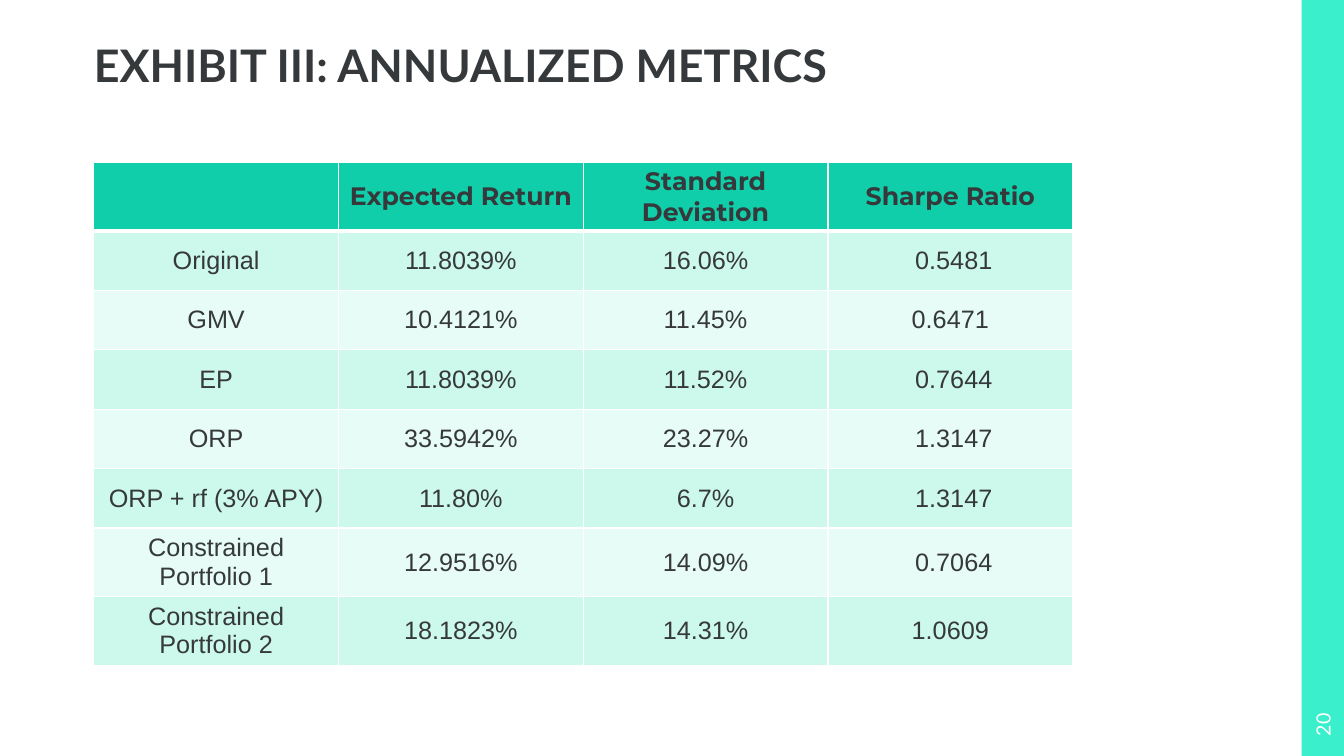
from lxml.etree import SubElement
from pptx import Presentation
from pptx.dml.color import RGBColor
from pptx.enum.shapes import MSO_SHAPE as Shape
from pptx.enum.text import MSO_ANCHOR as Anchor, MSO_AUTO_SIZE as AutoSize, PP_ALIGN as Align
from pptx.oxml.ns import qn
from pptx.util import Inches, Pt

DARK = RGBColor(0x36, 0x39, 0x3B)
WHITE = RGBColor(0xFF, 0xFF, 0xFF)
TURQUOISE = RGBColor(0x3A, 0xEF, 0xCC)
HEADER_GREEN = RGBColor(0x10, 0xCE, 0xA9)
BAND_GREENS = (RGBColor(0xE7, 0xFC, 0xF6), RGBColor(0xCD, 0xF9, 0xEC))

METRICS = [
    ("", "Expected Return", "Standard Deviation", "Sharpe Ratio"),
    ("Original", "11.8039%", "16.06%", " 0.5481"),
    ("GMV", "10.4121%", "11.45%", " 0.6471 "),
    ("EP", "11.8039%", "11.52%", " 0.7644"),
    ("ORP", "33.5942%", "23.27%", " 1.3147"),
    ("ORP + rf (3% APY)", "11.80%", "6.7%", " 1.3147"),
    ("Constrained Portfolio 1", "12.9516%", "14.09%", " 0.7064"),
    ("Constrained Portfolio 2", "18.1823%", "14.31%", " 1.0609 "),
]
ROW_HEIGHTS = [0.67] + [0.59] * 5 + [0.67] * 2


def add_text(paragraph, text, size, font, color, bold=False, align=Align.CENTER):
    paragraph.alignment = align
    run = paragraph.add_run()
    run.text = text
    run.font.size = Pt(size)
    run.font.name = font
    run.font.bold = bold
    run.font.color.rgb = color


def set_margins(frame, horizontal, vertical):
    frame.margin_left = frame.margin_right = Inches(horizontal)
    frame.margin_top = frame.margin_bottom = Inches(vertical)


def set_borders(cell, bottom_width):
    properties = cell._tc.get_or_add_tcPr()
    for side, width in (("L", 1), ("R", 1), ("T", 1), ("B", bottom_width)):
        border = SubElement(properties, qn(f"a:ln{side}"), w=str(Pt(width)))
        fill = SubElement(border, qn("a:solidFill"))
        SubElement(fill, qn("a:srgbClr"), val=str(WHITE))


def add_sidebar(slide, left, top, width, height, number):
    # Colour strip
    strip = slide.shapes.add_shape(
        Shape.RECTANGLE, Inches(left), Inches(top), Inches(width), Inches(height))
    strip.shadow.inherit = False
    strip.fill.solid()
    strip.fill.fore_color.rgb = TURQUOISE
    strip.line.fill.background()

    # Page number, turned to read upwards and centred on the strip
    length = 0.62
    page_number = slide.shapes.add_textbox(
        Inches(left + (width - length) / 2), Inches(top + height - 0.52),
        Inches(length), Inches(width))
    page_number.rotation = 270
    frame = page_number.text_frame
    frame.word_wrap = True
    frame.vertical_anchor = Anchor.MIDDLE
    add_text(frame.paragraphs[0], number, 14, "Lato", WHITE)


def add_title(slide, left, top, width, height, text):
    title = slide.shapes.title
    title.left, title.top = Inches(left), Inches(top)
    title.width, title.height = Inches(width), Inches(height)
    frame = title.text_frame
    frame.auto_size = AutoSize.NONE
    frame.vertical_anchor = Anchor.BOTTOM
    set_margins(frame, 0, 0)
    add_text(frame.paragraphs[0], text, 32, "Lato", DARK, bold=True, align=Align.LEFT)


def add_metrics_table(slide, left, top, width, row_heights, rows):
    table = slide.shapes.add_table(
        len(rows), len(rows[0]), Inches(left), Inches(top),
        Inches(width), Inches(sum(row_heights))).table
    for row, height in zip(table.rows, row_heights):
        row.height = Inches(height)

    for row_index, values in enumerate(rows):
        is_header = row_index == 0
        for column, value in enumerate(values):
            cell = table.cell(row_index, column)
            set_borders(cell, 3 if is_header else 1)
            cell.fill.solid()
            cell.fill.fore_color.rgb = HEADER_GREEN if is_header else BAND_GREENS[row_index % 2]
            cell.vertical_anchor = Anchor.MIDDLE
            set_margins(cell, 0.1, 0.04)
            if value:
                add_text(cell.text_frame.paragraphs[0], value, 18,
                         "Montserrat" if is_header else "Arial", DARK, bold=is_header)


def main():
    prs = Presentation()
    prs.slide_width, prs.slide_height = Inches(13.33), Inches(7.5)
    slide = prs.slides.add_slide(prs.slide_layouts[5])
    slide.background.fill.solid()
    slide.background.fill.fore_color.rgb = WHITE

    add_sidebar(slide, 12.91, 0, 0.42, 7.5, "20")
    add_metrics_table(slide, 0.93, 1.61, 9.71, ROW_HEIGHTS, METRICS)
    add_title(slide, 0.93, 0.2, 11.98, 0.71, "EXHIBIT III: ANNUALIZED METRICS")
    prs.save("out.pptx")


if __name__ == "__main__":
    main()
